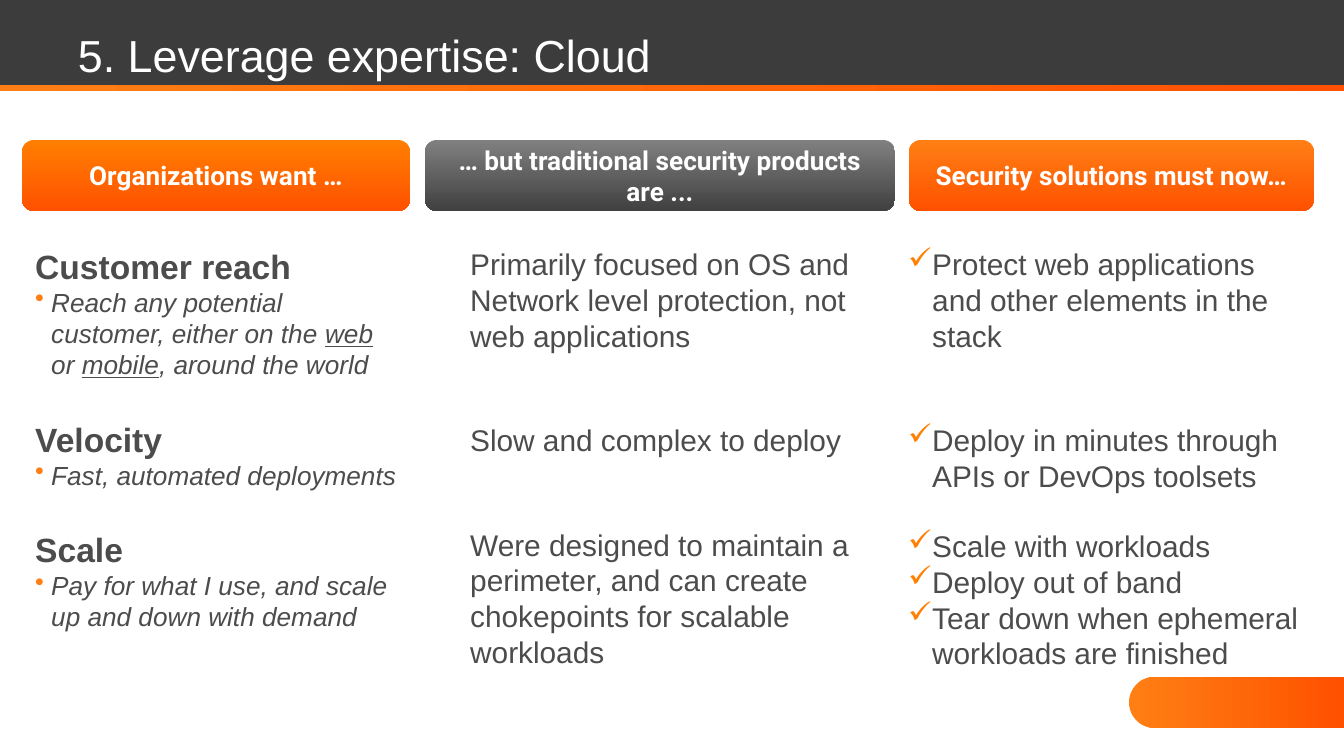
from lxml import etree
from pptx import Presentation
from pptx.dml.color import RGBColor
from pptx.enum import shapes, text
from pptx.oxml import ns

PX = 9144000 / 1344
GRAY, WHITE = "4C4C4C", "FFFFFF"
LIGHT, DEEP, PURE = "FF7F14", "FF5100", "FF7F00"


def paint(fill, *cols, turn=0):
    """Fill with one colour, or with a gradient of two turned clockwise."""
    if len(cols) == 1:
        fill.solid()
        fill.fore_color.rgb = RGBColor.from_string(cols[0])
        return
    fill.gradient()
    fill.gradient_angle = (360 - turn) % 360
    for stop, col in zip(fill.gradient_stops, cols):
        stop.color.rgb = RGBColor.from_string(col)


def write(frame, words, size=16, col=GRAY, face="Arial", bold=False,
          ital=False, align=None, gap=0, mark=None, tint=LIGHT, hang=16):
    """Add a paragraph; words between underscores are underlined."""
    para = frame.paragraphs[0] if not frame.text else frame.add_paragraph()
    if mark:
        props = para._p.get_or_add_pPr()
        props.set("marL", str(round(hang * PX)))
        props.set("indent", str(round(-hang * PX)))
        color = etree.SubElement(props, ns.qn("a:buClr"))
        etree.SubElement(color, ns.qn("a:srgbClr")).set("val", tint)
        etree.SubElement(props, ns.qn("a:buChar")).set("char", mark)
    if gap:
        para.space_before = round(gap * 12700)
    para.alignment = align
    for i, part in enumerate(words.split("_")):
        run = para.add_run()
        run.text = part
        font = run.font
        font.size, font.name = size * 12700, face
        font.bold, font.italic = bold, ital
        if i % 2:
            font.underline = True
        paint(font.fill, col)


deck = Presentation()
deck.slide_width, deck.slide_height = round(1344 * PX), round(756 * PX)
slide = deck.slides.add_slide(deck.slide_layouts[6])

kind = shapes.MSO_SHAPE
rect, pill = kind.RECTANGLE, kind.ROUNDED_RECTANGLE
bars = [
    (rect, (0, 0, 1344, 91), ("3C3C3C",), 0, ""),
    (rect, (0, 85, 1344, 6), (LIGHT, DEEP), 0, ""),
    (kind.ROUND_2_SAME_RECTANGLE, (1211, 595, 51, 215), (LIGHT, DEEP), 270, ""),
    (pill, (22, 140, 388, 71), (PURE, DEEP), 90, "Organizations want …"),
    (pill, (425, 140, 470, 71), ("808080", "404040"), 90,
     "… but traditional security products are ..."),
    (pill, (909, 140, 405, 71), (LIGHT, DEEP), 90,
     "Security solutions must now…"),
]
for form, box, cols, turn, words in bars:
    bar = slide.shapes.add_shape(form, *[round(v * PX) for v in box])
    bar.shadow.inherit = False
    bar.line.fill.background()
    paint(bar.fill, *cols, turn=turn)
    if form == kind.ROUND_2_SAME_RECTANGLE:
        bar.adjustments[0], bar.adjustments[1] = 0, 0.5
        bar.rotation = 90
    if words:
        bar.text_frame.word_wrap = True
        bar.text_frame.vertical_anchor = text.MSO_ANCHOR.MIDDLE
        write(bar.text_frame, words, size=14, col=WHITE, face="Roboto",
              bold=True, align=text.PP_ALIGN.CENTER)

frames = []
for box in [(69, 0, 1210, 86), (22, 239, 388, 489),
            (457, 239, 419, 510), (895, 239, 419, 510)]:
    area = slide.shapes.add_textbox(*[round(v * PX) for v in box])
    area.text_frame.word_wrap = True
    frames.append(area.text_frame)
title, wants, limits, needs = frames

title.vertical_anchor = text.MSO_ANCHOR.BOTTOM
title.margin_left = title.margin_right = round(9 * PX)
title.margin_top = title.margin_bottom = round(5 * PX)
write(title, "5. Leverage expertise: Cloud", size=24, col=WHITE)

for gap, head, body in [
    (0, "Customer reach", "Reach any potential customer, either on the _web_"
     " or _mobile_, around the world"),
    (20.7, "Velocity", "Fast, automated deployments"),
    (20.7, "Scale", "Pay for what I use, and scale up and down with demand"),
]:
    write(wants, head, size=18, bold=True, gap=gap)
    write(wants, body, size=14, ital=True, mark="•")

# Gaps are counted in lines of 16 pt text
LINE = 18.4
for rows, words in [
    (0, "Primarily focused on OS and Network level protection, "
     "not web applications"),
    (2, "Slow and complex to deploy"),
    (2, "Were designed to maintain a perimeter, and can create "
     "chokepoints for scalable workloads"),
]:
    write(limits, words, gap=rows * LINE)

for rows, words in [
    (0, "Protect web applications and other elements in the stack"),
    (2, "Deploy in minutes through APIs or DevOps toolsets"),
    (1, "Scale with workloads"),
    (0, "Deploy out of band"),
    (0, "Tear down when ephemeral workloads are finished"),
]:
    write(needs, words, gap=rows * LINE, mark="✓", tint=PURE, hang=24)

deck.save("out.pptx")
